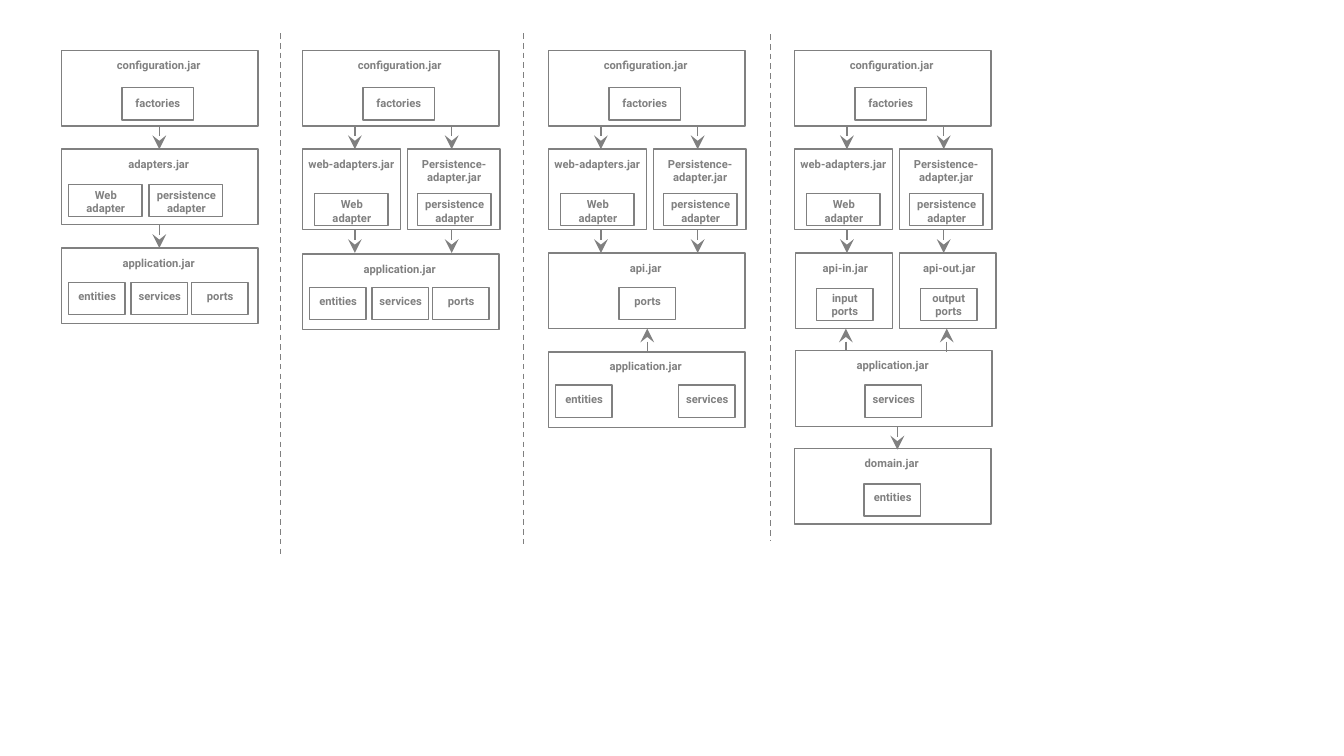
from dataclasses import dataclass

from lxml import etree
from pptx import Presentation
from pptx.dml.color import RGBColor
from pptx.enum.dml import MSO_LINE
from pptx.enum.shapes import MSO_CONNECTOR, MSO_SHAPE
from pptx.enum.text import MSO_AUTO_SIZE, PP_ALIGN
from pptx.oxml.ns import qn
from pptx.shapes.connector import Connector
from pptx.shapes.shapetree import GroupShapes, SlideShapes
from pptx.util import Pt

RECTANGLE = MSO_SHAPE.RECTANGLE
STRAIGHT = MSO_CONNECTOR.STRAIGHT
DASH = MSO_LINE.DASH
CENTER = PP_ALIGN.CENTER
GROW = MSO_AUTO_SIZE.SHAPE_TO_FIT_TEXT

EMU_PER_PX = 9144
COLORS = {"ink": "808080"}
FONT = "Roboto"
JAR_W, JAR_H = 195, 75
ADAPTER_JAR_H = 80
PART_H = 32
LABEL_HEIGHTS = {1: 24, 2: 37}


@dataclass(frozen=True)
class Jar:
    label: str
    x: int
    y: int
    width: int = JAR_W
    height: int = JAR_H
    label_width: int = 177
    label_shift: int = -1
    label_lines: int = 1


@dataclass(frozen=True)
class PartKind:
    width: int
    label_width: int
    label_drop: int
    label_lines: int = 1


@dataclass(frozen=True)
class Part:
    label: str
    x: int
    y: int
    kind: PartKind


@dataclass(frozen=True)
class Arrow:
    x: int
    tail: int
    tip: int


@dataclass(frozen=True)
class Divider:
    x: int
    top: int
    bottom: int


FACTORY = PartKind(71, 71, 4)
ADAPTER = PartKind(73, 88, -1, 2)
CORE = PartKind(56, 73, 2)
PORTS = PartKind(56, 76, -2, 2)

SINGLE, SPLIT, API, DOMAIN = 61, 300, 544, 788
COLUMNS = (SINGLE, SPLIT, API, DOMAIN)
ADAPTER_COLUMNS = COLUMNS[1:]

JARS = [
    *(Jar("configuration.jar", x, 50) for x in COLUMNS),
    *(Jar("web-adapters.jar", x, 148, 97, ADAPTER_JAR_H, 113, 0)
      for x in ADAPTER_COLUMNS),
    *(Jar("Persistence-adapter.jar", x + 104, 148, 92, ADAPTER_JAR_H, 113, 0, 2)
      for x in ADAPTER_COLUMNS),
    Jar("adapters.jar", SINGLE, 148),
    Jar("application.jar", SINGLE, 246),
    Jar("application.jar", SPLIT, 252),
    Jar("api.jar", API, 251),
    Jar("application.jar", API, 349),
    Jar("api-in.jar", 789, 251, 96, label_width=85, label_shift=2),
    Jar("api-out.jar", 892, 251, 96, label_width=85, label_shift=2),
    Jar("application.jar", 789, 348),
    Jar("domain.jar", DOMAIN, 445),
]

PARTS = [
    *(Part("factories", x + 60, 87, FACTORY) for x in COLUMNS),
    *(Part("Web\nadapter", x + 12, 192, ADAPTER) for x in ADAPTER_COLUMNS),
    *(Part("persistence\nadapter", x + 114, 192, ADAPTER)
      for x in ADAPTER_COLUMNS),
    Part("Web\nadapter", SINGLE + 7, 183, ADAPTER),
    Part("persistence\nadapter", SINGLE + 87, 183, ADAPTER),
    *(Part(label, column + offset, y, CORE)
      for column, y in ((SINGLE, 280), (SPLIT, 285))
      for label, offset in (("entities", 7), ("services", 69), ("ports", 129))),
    Part("ports", API + 70, 285, CORE),
    Part("entities", API + 7, 382, CORE),
    Part("services", API + 129, 382, CORE),
    Part("input\nports", 810, 286, PORTS),
    Part("output\nports", 913, 286, PORTS),
    Part("services", 858, 382, CORE),
    Part("entities", 857, 480, CORE),
]

ARROWS = [
    *(Arrow(column + offset, tail, tail + 23)
      for column in ADAPTER_COLUMNS
      for offset in (52, 148)
      for tail in (125, 228)),
    Arrow(158, 125, 148),
    Arrow(158, 223, 246),
    Arrow(642, 349, 326),
    Arrow(839, 348, 326),
    Arrow(939, 349, 326),
    Arrow(890, 423, 446),
]

DIVIDERS = [Divider(278, 33, 550), Divider(519, 33, 543), Divider(764, 34, 536)]


def px(length: int) -> int:
    return length * EMU_PER_PX


def ink() -> RGBColor:
    return RGBColor.from_string(COLORS["ink"])


def draw_outline(shapes: SlideShapes | GroupShapes, x: int, y: int,
                 width: int, height: int) -> None:
    outline = shapes.add_shape(RECTANGLE, px(x), px(y), px(width), px(height))
    outline.shadow.inherit = False
    outline.fill.background()
    outline.line.color.rgb = ink()
    outline.line.width = Pt(1)


def draw_label(shapes: SlideShapes | GroupShapes, text: str, x: int, y: int,
               width: int, lines: int) -> None:
    label = shapes.add_textbox(px(x), px(y), px(width), px(LABEL_HEIGHTS[lines]))
    frame = label.text_frame
    frame.word_wrap = True
    frame.auto_size = GROW
    frame.text = text
    for paragraph in frame.paragraphs:
        paragraph.alignment = CENTER
        paragraph.font.name = FONT
        paragraph.font.size = Pt(8)
        paragraph.font.bold = True
        paragraph.font.color.rgb = ink()


def draw_jar(shapes: SlideShapes, jar: Jar) -> None:
    draw_outline(shapes, jar.x, jar.y, jar.width, jar.height)
    label_x = jar.x + int((jar.width - jar.label_width) / 2) + jar.label_shift
    draw_label(shapes, jar.label, label_x, jar.y + 3, jar.label_width,
               jar.label_lines)


def draw_part(shapes: SlideShapes, part: Part) -> None:
    kind = part.kind
    members = shapes.add_group_shape().shapes
    draw_outline(members, part.x, part.y, kind.width, PART_H)
    label_x = part.x + int((kind.width - kind.label_width) / 2)
    draw_label(members, part.label, label_x, part.y + kind.label_drop,
               kind.label_width, kind.label_lines)


def draw_vertical(shapes: SlideShapes, x: int, start: int, end: int) -> Connector:
    rule = shapes.add_connector(STRAIGHT, px(x), px(start), px(x), px(end))
    rule.line.color.rgb = ink()
    rule.line.width = Pt(1)
    etree.SubElement(rule._element.spPr, qn("a:effectLst"))
    return rule


def draw_arrow(shapes: SlideShapes, arrow: Arrow) -> None:
    rule = draw_vertical(shapes, arrow.x, arrow.tip, arrow.tail)
    etree.SubElement(rule.line._get_or_add_ln(), qn("a:headEnd"),
                     type="stealth", w="lg", len="lg")


def draw_divider(shapes: SlideShapes, divider: Divider) -> None:
    rule = draw_vertical(shapes, divider.x, divider.top, divider.bottom)
    rule.line.dash_style = DASH


def main() -> None:
    deck = Presentation()
    deck.slide_width, deck.slide_height = px(1333), px(750)
    shapes = deck.slides.add_slide(deck.slide_layouts[6]).shapes
    for jar in JARS:
        draw_jar(shapes, jar)
    for part in PARTS:
        draw_part(shapes, part)
    for arrow in ARROWS:
        draw_arrow(shapes, arrow)
    for divider in DIVIDERS:
        draw_divider(shapes, divider)
    deck.save("out.pptx")


if __name__ == "__main__":
    main()
